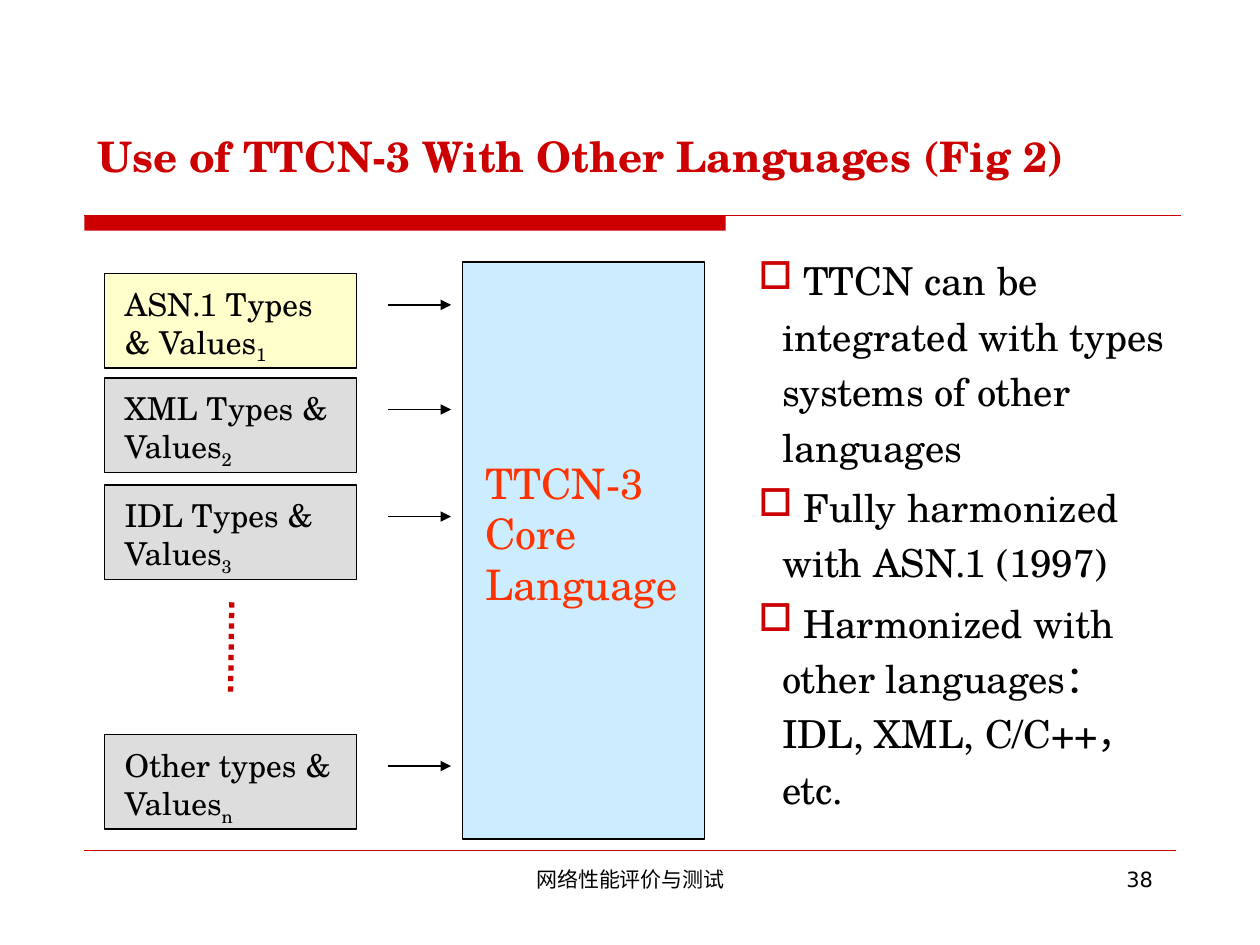
"""Build the slide on using TTCN-3 together with other type languages."""
import lxml.etree
import pptx
import pptx.dml.color
import pptx.enum.dml
import pptx.enum.shapes
import pptx.enum.text
import pptx.oxml.ns
import pptx.util

Inches, Pt, qn = pptx.util.Inches, pptx.util.Pt, pptx.oxml.ns.qn
ALIGN = pptx.enum.text.PP_ALIGN
RECTANGLE = pptx.enum.shapes.MSO_SHAPE.RECTANGLE
SERIF, SANS = "TeX Gyre Schola", "DejaVu Sans"
RED, BLACK = "CC0000", "000000"
color = pptx.dml.color.RGBColor.from_string


def style(paragraph, size, font, hex_color, align=ALIGN.LEFT):
    paragraph.alignment = align
    for run in paragraph.runs:
        run.font.size = Pt(size)
        run.font.name = font
        run.font.color.rgb = color(hex_color)


def add_line(x1, y1, x2, y2, hex_color, width):
    line = slide.shapes.add_connector(
        pptx.enum.shapes.MSO_CONNECTOR.STRAIGHT, Inches(x1), Inches(y1), Inches(x2), Inches(y2))
    line.line.color.rgb = color(hex_color)
    line.line.width = Pt(width)
    lxml.etree.SubElement(line._element.spPr, qn("a:effectLst"))
    return line


deck = pptx.Presentation()
deck.slide_width, deck.slide_height = Inches(10), Inches(7.5)
slide = deck.slides.add_slide(deck.slide_layouts[5])

title = slide.shapes.title
title.left, title.top, title.width, title.height = Inches(0.67), Inches(0.92), Inches(8.83), Inches(0.63)
title.text_frame.text = "Use of TTCN-3 With Other Languages (Fig 2)"
title.text_frame.vertical_anchor = pptx.enum.text.MSO_ANCHOR.MIDDLE
style(title.text_frame.paragraphs[0], 24, SERIF, RED)
title.text_frame.paragraphs[0].runs[0].font.bold = True

title_bar = slide.shapes.add_shape(RECTANGLE, Inches(0.67), Inches(1.71), Inches(5.09), Inches(0.12))
title_bar.shadow.inherit = False
title_bar.fill.solid()
title_bar.fill.fore_color.rgb = color(RED)
title_bar.line.fill.background()
add_line(0.67, 1.71, 9.37, 1.71, RED, 0.75)
add_line(0.67, 6.75, 9.33, 6.75, RED, 0.25)

for text, left, width, align in [
    ("网络性能评价与测试", 3.42, 3.17, ALIGN.CENTER),
    ("38", 7.17, 2.08, ALIGN.RIGHT),
]:
    footer = slide.shapes.add_textbox(Inches(left), Inches(6.83), Inches(width), Inches(0.5))
    footer.text_frame.word_wrap = True
    footer.text_frame.text = text
    style(footer.text_frame.paragraphs[0], 12, SANS, BLACK, align)

blocks = [
    ("TTCN-3 Core Language", "", 3.67, 2.08, 1.92, 4.58, "CCECFF", 24, "FF3300", 0.18, 1.55),
]
for text, index, top, fill in [
    ("ASN.1 Types & Values", "1", 2.17, "FFFFCC"),
    ("XML Types & Values", "2", 3, "DDDDDD"),
    ("IDL Types & Values", "3", 3.85, "DDDDDD"),
    ("Other types & Values", "n", 5.83, "DDDDDD"),
]:
    blocks.append((text, index, 0.83, top, 2, 0.75, fill, 18, BLACK, 0.16, 0.09))
    arrow = add_line(3.08, top + 0.25, 3.58, top + 0.25, BLACK, 0.75)
    lxml.etree.SubElement(arrow.line._get_or_add_ln(), qn("a:tailEnd"), type="triangle")

for text, index, left, top, width, height, fill, size, text_color, side_inset, top_inset in blocks:
    block = slide.shapes.add_shape(RECTANGLE, Inches(left), Inches(top), Inches(width), Inches(height))
    block.shadow.inherit = False
    block.fill.solid()
    block.fill.fore_color.rgb = color(fill)
    block.line.color.rgb = color(BLACK)
    block.line.width = Pt(0.75)
    frame = block.text_frame
    frame.word_wrap = True
    frame.vertical_anchor = pptx.enum.text.MSO_ANCHOR.TOP
    frame.margin_left = frame.margin_right = Inches(side_inset)
    frame.margin_top, frame.margin_bottom = Inches(top_inset), 0
    frame.text = text
    label = frame.paragraphs[0]
    if index:
        subscript = label.add_run()
        subscript.text = index
        subscript.font._element.set("baseline", "-25000")
    style(label, size, SERIF, text_color)

ellipsis = add_line(1.84, 4.78, 1.83, 5.5, RED, 3)
ellipsis.line.dash_style = pptx.enum.dml.MSO_LINE.ROUND_DOT

points = slide.shapes.add_textbox(Inches(5.92), Inches(1.92), Inches(3.5), Inches(4.42)).text_frame
points.word_wrap = True
for number, text in enumerate([
    " TTCN can be integrated with types systems of other languages",
    " Fully harmonized with ASN.1 (1997)",
    " Harmonized with other languages：IDL, XML, C/C++，etc.",
]):
    point = points.add_paragraph() if number else points.paragraphs[0]
    point.text = text
    properties = point._p.get_or_add_pPr()
    properties.set("marL", str(Inches(0.19)))
    properties.set("indent", str(-Inches(0.19)))
    bullet_color = lxml.etree.SubElement(properties, qn("a:buClr"))
    lxml.etree.SubElement(bullet_color, qn("a:srgbClr"), val=RED)
    lxml.etree.SubElement(properties, qn("a:buChar"), char="□")
    point.line_spacing = 1.2
    if number:
        point.space_before = Pt(2.8)
    style(point, 22, SERIF, BLACK)

deck.save("out.pptx")
